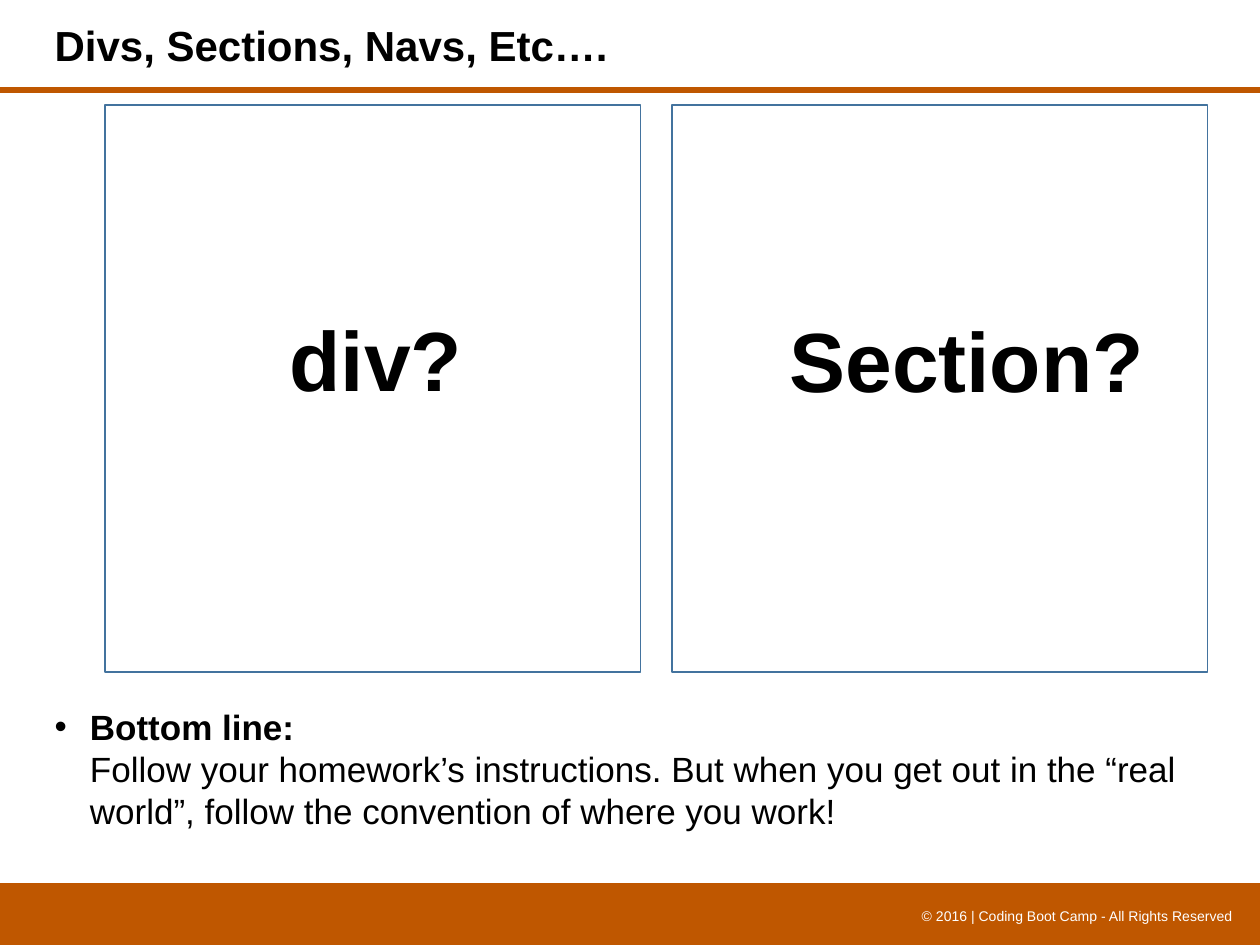
"""Builds the slide on div versus section, on a grid of 12 columns by 9 rows."""
from copy import deepcopy
from dataclasses import dataclass

from pptx import Presentation
from pptx import util as u
from pptx.dml.color import RGBColor
from pptx.enum import shapes, text
from pptx.oxml import parse_xml
from pptx.oxml.ns import nsdecls

WIDE, HIGH = u.Inches(10), u.Inches(7.5)
COLS, ROWS = 12, 9
HUES = {"rust": "BF5700", "blue": "43739E", "ink": "000000", "paper": "FFFFFF"}


@dataclass(frozen=True)
class Box:
    x: float
    y: float
    w: float
    h: float

    def span(self) -> tuple[int, ...]:
        return (*(round(n * WIDE / COLS) for n in (self.x, self.w)),
                *(round(n * HIGH / ROWS) for n in (self.y, self.h)))

    def rect(self) -> tuple[int, ...]:
        left, width, top, height = self.span()
        return left, top, width, height


@dataclass(frozen=True)
class Panel:
    frame: Box
    label: Box
    word: str


PANELS = (
    Panel(Box(1, 1, 5.1, 5.4), Box(2.64, 2.87, 1.91, 1.09), "div?"),
    Panel(Box(6.4, 1, 5.1, 5.4), Box(7.4, 2.88, 3.66, 1.09), "Section?"),
)


def hue(name: str) -> RGBColor:
    return RGBColor.from_string(HUES[name])


def place(shape, box: Box) -> None:
    shape.left, shape.top, shape.width, shape.height = box.rect()


def write(para, words: str, size: float, color: str = "ink", bold: bool = False):
    run = para.add_run()
    run.text = words
    font = run.font
    font.name, font.size, font.bold = "Arial", u.Pt(size), bold
    font.color.rgb = hue(color)
    return run


def block(slide, kind, box: Box, fill: str = "", line: str = "") -> None:
    shape = slide.shapes.add_shape(kind, *box.rect())
    shape.shadow.inherit = False
    if fill:
        shape.fill.solid()
        shape.fill.fore_color.rgb = hue(fill)
    else:
        shape.fill.background()
    if line:
        shape.line.color.rgb = hue(line)
        shape.line.width = u.Pt(1)
    else:
        shape.line.fill.background()


def label(slide, box: Box, words: str, wrap: bool = False,
          align=text.PP_ALIGN.LEFT, **style) -> None:
    frame = slide.shapes.add_textbox(*box.rect()).text_frame
    frame.word_wrap = wrap
    frame.paragraphs[0].alignment = align
    write(frame.paragraphs[0], words, **style)


def rule(slide, row: float) -> None:
    y = round(row * HIGH / ROWS)
    line = slide.shapes.add_connector(shapes.MSO_CONNECTOR.STRAIGHT, 0, y, WIDE, y)
    line.line.color.rgb = hue("rust")
    line.line.width = u.Pt(3.25)
    line._element.spPr.append(parse_xml(f"<a:effectLst {nsdecls('a')}/>"))


def head(slide) -> None:
    title = slide.shapes.title
    place(title, Box(0.4, 0.13, 7.5, 0.6))
    frame = title.text_frame
    frame.auto_size = text.MSO_AUTO_SIZE.NONE
    frame.vertical_anchor = text.MSO_ANCHOR.TOP
    frame.paragraphs[0].alignment = text.PP_ALIGN.LEFT
    write(frame.paragraphs[0], "Divs, Sections, Navs, Etc….", 24, bold=True)


def advice(slide) -> None:
    body = slide.placeholders[1]
    place(body, Box(0.4, 6.6, 11.46, 1.6))
    frame = body.text_frame
    frame.auto_size = text.MSO_AUTO_SIZE.NONE
    frame.margin_top = frame.margin_bottom = u.Inches(0.1)
    para = frame.paragraphs[0]
    para.space_before = u.Pt(0)
    props = para._p.get_or_add_pPr()
    props.set("marL", str(u.Inches(0.28)))
    props.set("indent", str(u.Inches(-0.28)))
    props.append(parse_xml(f"<a:buChar {nsdecls('a')} char='•'/>"))
    lead = write(para, "Bottom line: ", 20, bold=True)
    para.add_line_break()
    para._p[-1].append(deepcopy(lead._r.rPr))
    write(para, "Follow your homework’s instructions. But when you get out in "
          "the “real world”, follow the convention of where you work!", 20)


def main() -> None:
    deck = Presentation()
    deck.slide_width, deck.slide_height = WIDE, HIGH
    slide = deck.slides.add_slide(deck.slide_layouts[1])
    block(slide, shapes.MSO_SHAPE.FLOWCHART_PROCESS, Box(0, 8.41, COLS, 0.59), fill="rust")
    rule(slide, 0.86)
    label(slide, Box(8.2, 8.58, 3.66, 0.29),
          "© 2016 | Coding Boot Camp - All Rights Reserved", wrap=True,
          align=text.PP_ALIGN.RIGHT, size=8, color="paper")
    head(slide)
    advice(slide)
    for panel in PANELS:
        block(slide, shapes.MSO_SHAPE.RECTANGLE, panel.frame, line="blue")
        label(slide, panel.label, panel.word, size=48, bold=True)
    deck.save("out.pptx")


if __name__ == "__main__":
    main()
